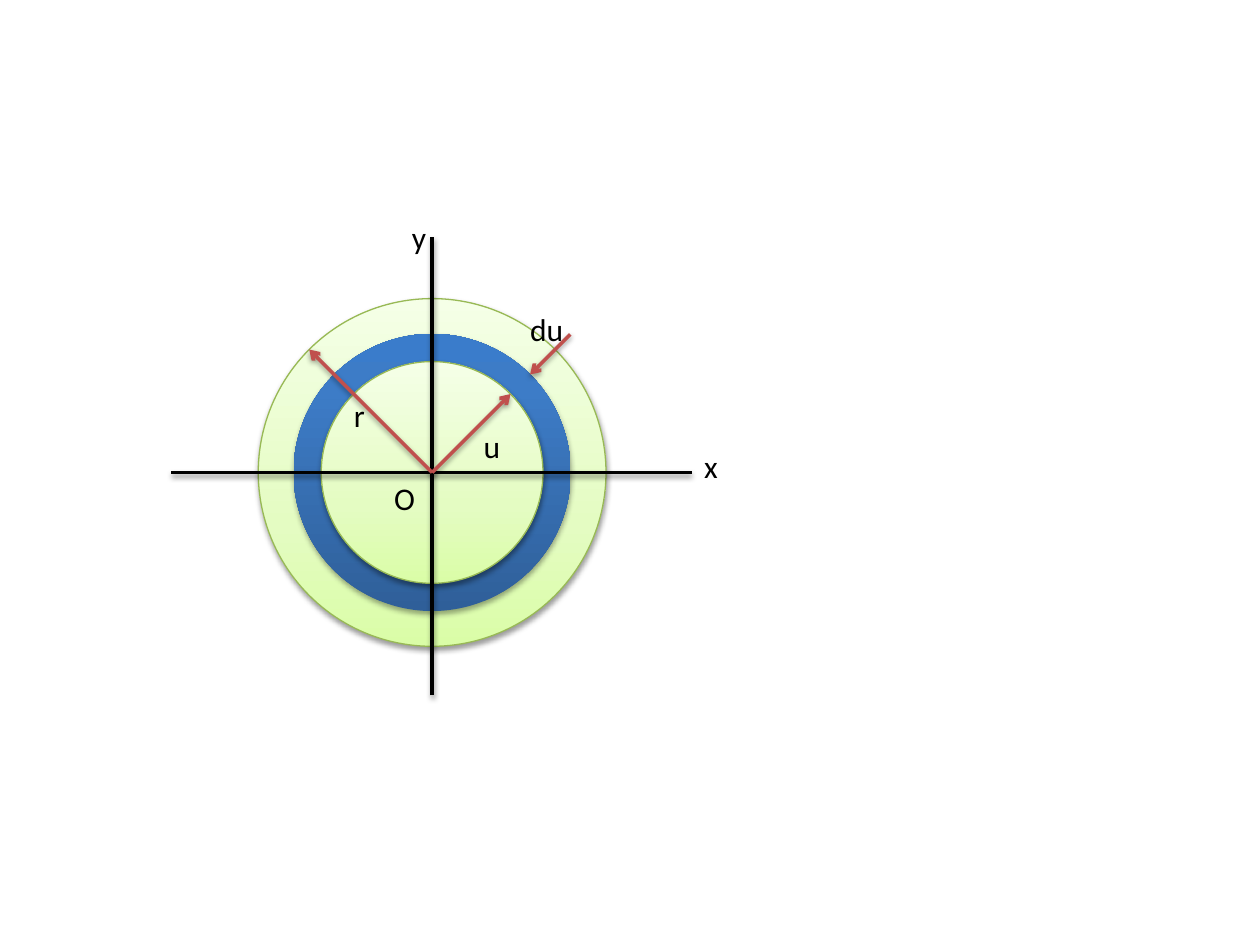
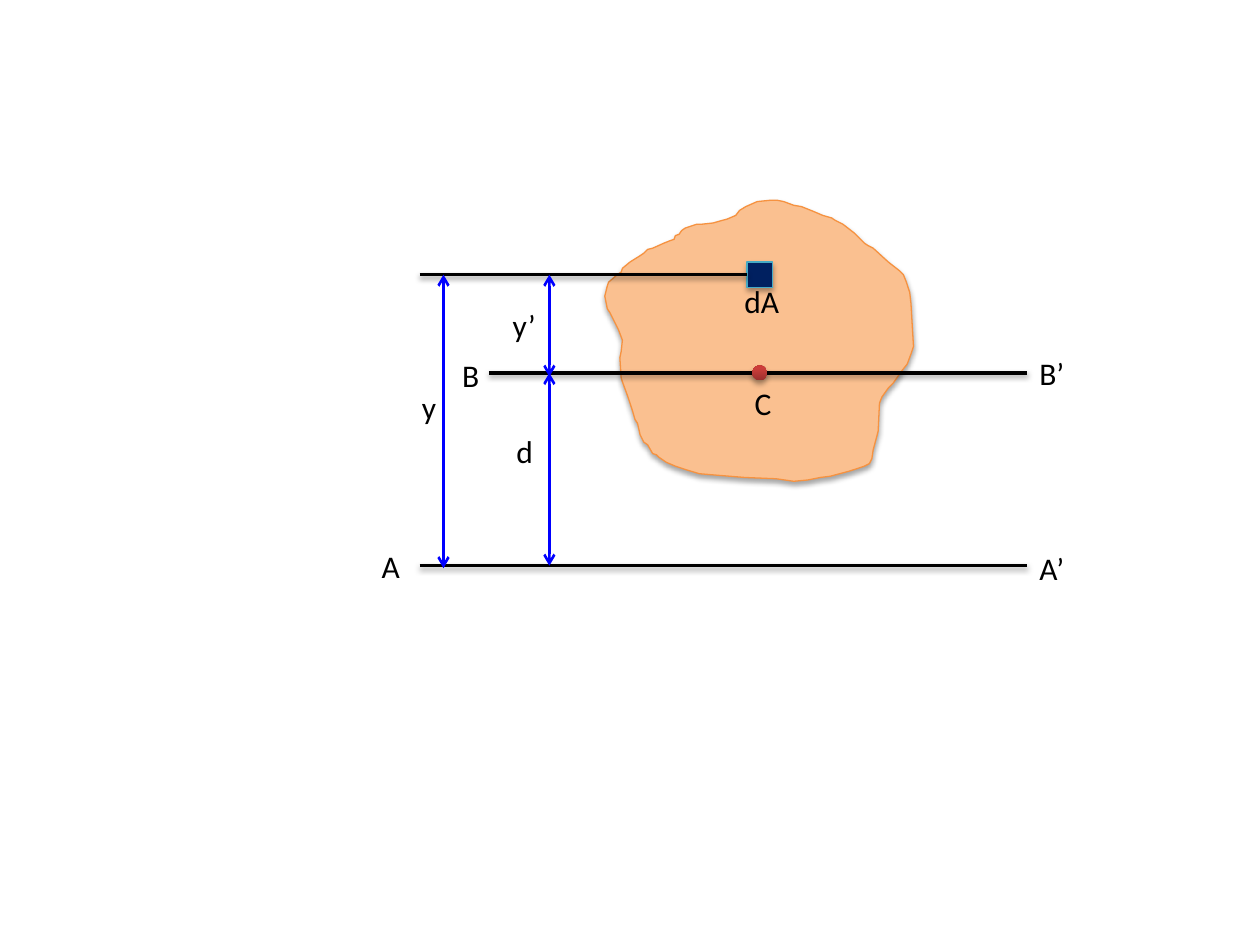
import math

import lxml.etree
import pptx
import pptx.dml.color
import pptx.enum.shapes
import pptx.enum.text
import pptx.oxml.ns
import pptx.util

Inches = pptx.util.Inches
RGBColor = pptx.dml.color.RGBColor
SHAPES = pptx.enum.shapes.MSO_SHAPE

BLACK = RGBColor(0x00, 0x00, 0x00)
ARROW_RED = RGBColor(0xC0, 0x50, 0x4D)
DIMENSION_BLUE = RGBColor(0x00, 0x00, 0xFF)
DISC_EDGE = RGBColor(0x98, 0xB9, 0x55)
AREA_FILL = RGBColor(0xFA, 0xC0, 0x90)
AREA_EDGE = RGBColor(0xF6, 0x92, 0x40)
ELEMENT_FILL = RGBColor(0x00, 0x20, 0x60)
ELEMENT_EDGE = RGBColor(0x46, 0xAA, 0xC5)
GREEN_STOPS = [(0, RGBColor(0xDA, 0xFD, 0xA7)), (35, RGBColor(0xE4, 0xFC, 0xC2)),
               (100, RGBColor(0xF5, 0xFF, 0xE7))]
BLUE_STOPS = [(0, RGBColor(0x2F, 0x5F, 0x99)), (80, RGBColor(0x3D, 0x7C, 0xC7)),
              (100, RGBColor(0x3A, 0x7C, 0xCB))]
RED_STOPS = [(0, RGBColor(0x9C, 0x2F, 0x2D)), (80, RGBColor(0xCB, 0x3E, 0x3A)),
             (100, RGBColor(0xCE, 0x3B, 0x37))]

FONT = "Calibri"
FONT_SIZE = 18
LABEL_HEIGHT = 0.4
NARROW, WIDE = 0.39, 0.55
SOFT_SHADOW = (38, 3.1, 1.6)
DEEP_SHADOW = (35, 3.1, 1.8)

ORIGIN_X, ORIGIN_Y = 3.43, 3.75
OUTER_RADIUS, RING_RADIUS, INNER_RADIUS = 1.38, 1.1, 0.88
DU_START_RADIUS = 1.55
DISCS = [
    (OUTER_RADIUS, GREEN_STOPS, DISC_EDGE, SOFT_SHADOW),
    (RING_RADIUS, BLUE_STOPS, None, DEEP_SHADOW),
    (INNER_RADIUS, GREEN_STOPS, DISC_EDGE, SOFT_SHADOW),
]
AXES = [((ORIGIN_X, 5.52), (ORIGIN_X, 1.88)), ((5.49, ORIGIN_Y), (1.36, ORIGIN_Y))]
RADIUS_ARROWS = [
    (135, 0, OUTER_RADIUS),
    (45, 0, INNER_RADIUS),
    (45, DU_START_RADIUS, RING_RADIUS),
]
DISC_LABELS = [
    ("x", 5.49, 3.5, NARROW), ("O", 3.03, 3.75, NARROW), ("y", 3.17, 1.68, NARROW),
    ("r", 2.71, 3.09, NARROW), ("u", 3.74, 3.34, NARROW), ("du", 4.11, 2.41, WIDE),
]

ELEMENT_Y, CENTROID_Y, BASE_Y = 2.18, 2.96, 4.49
CENTROID_X, LINE_LEFT, LINE_RIGHT = 6.03, 3.33, 8.15
ELEMENT_SIZE, CENTROID_SIZE = 0.2, 0.12
REFERENCE_LINES = [
    (LINE_LEFT, LINE_RIGHT, BASE_Y),
    (LINE_LEFT, CENTROID_X - ELEMENT_SIZE / 2, ELEMENT_Y),
    (3.88, LINE_RIGHT, CENTROID_Y),
]
DIMENSIONS = [(4.36, CENTROID_Y, BASE_Y), (4.36, ELEMENT_Y, 2.99), (3.52, ELEMENT_Y, 4.51)]
AREA_LABELS = [
    ("A", 2.93, 4.29, NARROW), ("A’", 8.15, 4.31, WIDE), ("y", 3.25, 3.03, NARROW),
    ("y’", 3.97, 2.38, NARROW), ("d", 4, 3.38, NARROW), ("dA", 5.81, 2.19, WIDE),
    ("C", 5.89, 3, NARROW), ("B", 3.57, 2.78, NARROW), ("B’", 8.15, 2.76, WIDE),
]
AREA_OUTLINE = [
    (5.27, 1.93), (5.18, 1.97), (5.14, 1.98), (5.11, 2.01), (5.08, 2.03), (5, 2.08),
    (4.94, 2.13), (4.93, 2.16), (4.9, 2.18), (4.83, 2.24), (4.82, 2.27), (4.8, 2.35),
    (4.82, 2.45), (4.84, 2.48), (4.87, 2.54), (4.91, 2.62), (4.94, 2.7), (4.93, 2.79),
    (4.92, 2.84), (4.93, 3), (4.94, 3.03), (4.98, 3.14), (5.02, 3.26), (5.04, 3.33),
    (5.06, 3.36), (5.08, 3.45), (5.11, 3.51), (5.14, 3.53), (5.18, 3.6), (5.21, 3.61),
    (5.23, 3.63), (5.29, 3.67), (5.36, 3.7), (5.45, 3.73), (5.55, 3.76), (5.67, 3.77),
    (5.91, 3.79), (6.16, 3.8), (6.3, 3.82), (6.41, 3.81), (6.51, 3.79), (6.59, 3.78),
    (6.74, 3.74), (6.8, 3.72), (6.86, 3.7), (6.9, 3.68), (6.92, 3.64), (6.93, 3.57),
    (6.96, 3.46), (6.97, 3.42), (6.98, 3.2), (7, 3.15), (7.05, 3.08), (7.09, 3.04),
    (7.16, 2.94), (7.2, 2.89), (7.23, 2.81), (7.25, 2.75), (7.24, 2.58), (7.23, 2.41),
    (7.22, 2.32), (7.19, 2.23), (7.17, 2.18), (7.14, 2.15), (7.05, 2.08), (6.93, 1.97),
    (6.89, 1.95), (6.86, 1.93), (6.78, 1.85), (6.69, 1.78), (6.63, 1.75), (6.6, 1.73),
    (6.53, 1.71), (6.46, 1.68), (6.41, 1.66), (6.36, 1.64), (6.3, 1.63), (6.22, 1.6),
    (6.17, 1.59), (6.11, 1.59), (6.01, 1.6), (5.92, 1.64), (5.87, 1.67), (5.84, 1.71),
    (5.77, 1.74), (5.73, 1.75), (5.66, 1.77), (5.57, 1.78), (5.53, 1.78), (5.44, 1.81),
    (5.41, 1.83), (5.39, 1.86), (5.36, 1.87), (5.35, 1.9), (5.32, 1.91),
]


def add_child(parent, tag, **attributes):
    child = lxml.etree.SubElement(parent, pptx.oxml.ns.qn(tag))
    for name, value in attributes.items():
        child.set(name, str(value))
    return child


def set_effects(shape, shadow):
    effects = add_child(shape.element.spPr, "a:effectLst")
    if shadow:
        opacity, blur, distance = shadow
        outer = add_child(effects, "a:outerShdw", blurRad=pptx.util.Pt(blur),
                          dist=pptx.util.Pt(distance), dir=5400000, rotWithShape=0)
        color = add_child(outer, "a:srgbClr", val=BLACK)
        add_child(color, "a:alpha", val=opacity * 1000)


def style_shape(shape, fill, edge, shadow):
    if isinstance(fill, list):
        shape.fill.gradient()
        shape.fill.gradient_angle = 90
        stops = shape.element.spPr.find(".//" + pptx.oxml.ns.qn("a:gsLst"))
        for stop in list(stops):
            stops.remove(stop)
        for position, color in fill:
            stop = add_child(stops, "a:gs", pos=position * 1000)
            add_child(stop, "a:srgbClr", val=color)
    else:
        shape.fill.solid()
        shape.fill.fore_color.rgb = fill
    if edge is None:
        shape.line.fill.background()
    else:
        shape.line.color.rgb = edge
        shape.line.width = pptx.util.Pt(0.75)
    set_effects(shape, shadow)


def add_centred(slide, kind, x, y, size, fill, edge, shadow):
    shape = slide.shapes.add_shape(kind, Inches(x - size / 2), Inches(y - size / 2),
                                   Inches(size), Inches(size))
    style_shape(shape, fill, edge, shadow)


def add_line(slide, start, end, color=BLACK, width=2, arrows=(), shadow=SOFT_SHADOW):
    line = slide.shapes.add_connector(pptx.enum.shapes.MSO_CONNECTOR.STRAIGHT,
                                      *(Inches(value) for value in (*start, *end)))
    line.line.color.rgb = color
    line.line.width = pptx.util.Pt(width)
    for arrow in arrows:
        add_child(line.line._get_or_add_ln(), arrow, type="arrow")
    set_effects(line, shadow)


def add_labels(slide, labels):
    for text, left, top, width in labels:
        box = slide.shapes.add_textbox(Inches(left), Inches(top), Inches(width),
                                       Inches(LABEL_HEIGHT))
        box.text_frame.word_wrap = True
        box.text_frame.auto_size = pptx.enum.text.MSO_AUTO_SIZE.SHAPE_TO_FIT_TEXT
        run = box.text_frame.paragraphs[0].add_run()
        run.text = text
        run.font.name = FONT
        run.font.size = pptx.util.Pt(FONT_SIZE)
        run.font.color.rgb = BLACK


def polar_point(angle, radius):
    radians = math.radians(angle)
    return ORIGIN_X + radius * math.cos(radians), ORIGIN_Y - radius * math.sin(radians)


def build_disc_slide(slide):
    for radius, fill, edge, shadow in DISCS:
        add_centred(slide, SHAPES.OVAL, ORIGIN_X, ORIGIN_Y, 2 * radius, fill, edge, shadow)
    for start, end in AXES:
        add_line(slide, start, end)
    for angle, start_radius, end_radius in RADIUS_ARROWS:
        add_line(slide, polar_point(angle, start_radius), polar_point(angle, end_radius),
                 ARROW_RED, arrows=["a:tailEnd"])
    add_labels(slide, DISC_LABELS)


def build_area_slide(slide):
    points = [(Inches(x), Inches(y)) for x, y in AREA_OUTLINE]
    builder = slide.shapes.build_freeform(*points[0])
    builder.add_line_segments(points[1:], close=True)
    style_shape(builder.convert_to_shape(), AREA_FILL, AREA_EDGE, DEEP_SHADOW)
    add_centred(slide, SHAPES.RECTANGLE, CENTROID_X, ELEMENT_Y, ELEMENT_SIZE,
                ELEMENT_FILL, ELEMENT_EDGE, DEEP_SHADOW)
    for left, right, y in REFERENCE_LINES:
        add_line(slide, (left, y), (right, y))
    add_centred(slide, SHAPES.OVAL, CENTROID_X, CENTROID_Y, CENTROID_SIZE,
                RED_STOPS, None, DEEP_SHADOW)
    for x, top, bottom in DIMENSIONS:
        add_line(slide, (x, top), (x, bottom), DIMENSION_BLUE, 1.5,
                 ["a:headEnd", "a:tailEnd"], None)
    add_labels(slide, AREA_LABELS)


def main():
    presentation = pptx.Presentation()
    presentation.slide_width = Inches(10)
    presentation.slide_height = Inches(7.5)
    for build in (build_disc_slide, build_area_slide):
        build(presentation.slides.add_slide(presentation.slide_layouts[6]))
    presentation.save("out.pptx")


if __name__ == "__main__":
    main()
